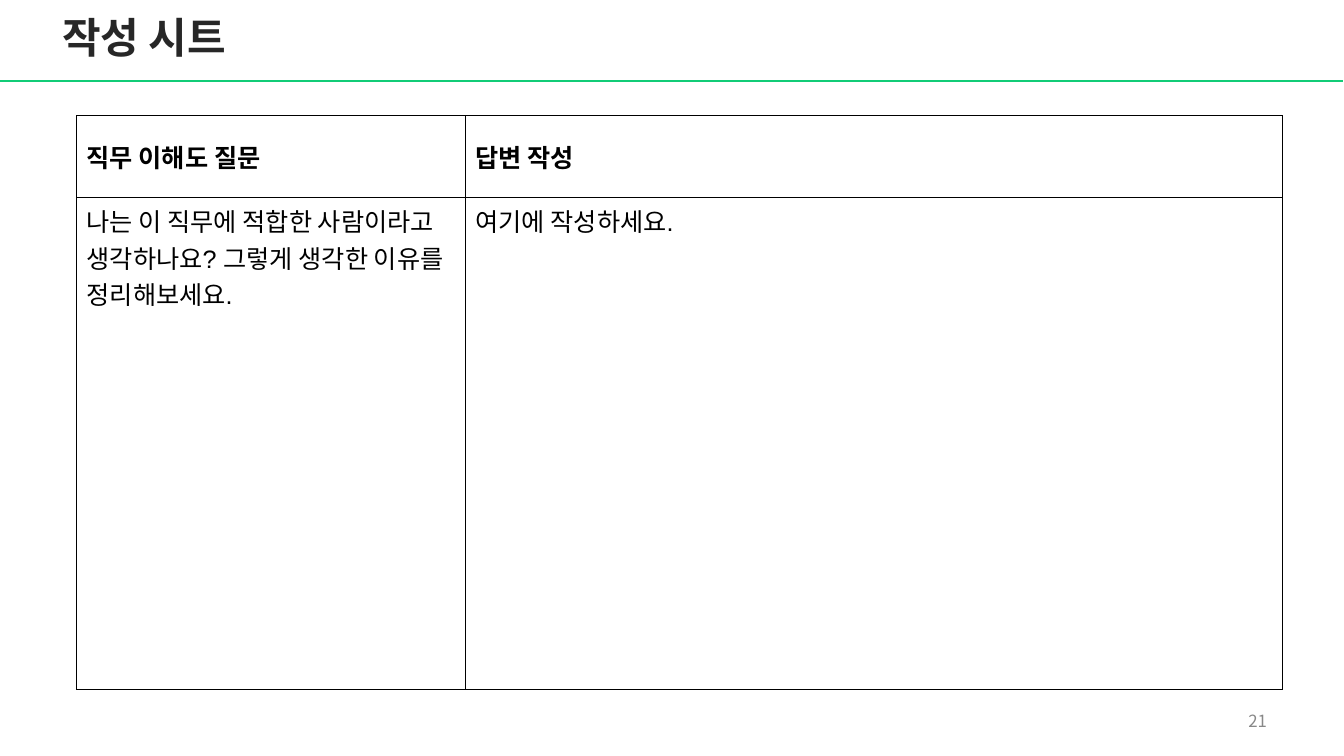
from dataclasses import dataclass

from lxml import etree
from pptx import Presentation
from pptx.dml.color import RGBColor
from pptx.enum.shapes import MSO_CONNECTOR
from pptx.enum.text import MSO_ANCHOR, PP_ALIGN
from pptx.oxml.ns import qn
from pptx.util import Cm, Pt

LINE = MSO_CONNECTOR.STRAIGHT
TOP = MSO_ANCHOR.TOP
MIDDLE = MSO_ANCHOR.MIDDLE
LEFT = PP_ALIGN.LEFT
RIGHT = PP_ALIGN.RIGHT


@dataclass(frozen=True)
class Theme:
    """Colours, fonts and type sizes of the slide."""
    ink: str = "000000"
    head: str = "272727"
    green: str = "11CC77"
    grey: str = "888888"
    font: str = "Arial"
    hangul: str = "Noto Sans CJK KR"
    title: int = 30
    body: int = 18
    note: int = 12
    rule: float = 1.5
    edge: float = 0.75


THEME = Theme()
ROWS = [
    ("직무 이해도 질문", "답변 작성"),
    ("나는 이 직무에 적합한 사람이라고 생각하나요? 그렇게 생각한 이유를 정리해보세요.",
     "여기에 작성하세요."),
]
WIDTHS = (9.8, 20.6)
HEIGHTS = (2.06, 12.4)


def style(para, size, color, bold=False, name=THEME.font):
    """Set the font of a paragraph."""
    font = para.font
    font.name = name
    font.size = Pt(size)
    font.bold = bold
    font.color.rgb = RGBColor.from_string(color)


def add_text(slide, text, box, anchor=TOP, align=LEFT, inset=(0, 0)):
    """Add a wrapped text box and return its paragraph."""
    frame = slide.shapes.add_textbox(*map(Cm, box)).text_frame
    frame.word_wrap = True
    frame.vertical_anchor = anchor
    frame.margin_left = frame.margin_right = Cm(inset[0])
    frame.margin_top = frame.margin_bottom = Cm(inset[1])
    para = frame.paragraphs[0]
    para.text = text
    para.alignment = align
    return para


def add_rule(slide, top, width):
    """Draw the green rule across the slide."""
    rule = slide.shapes.add_connector(LINE, 0, Cm(top), Cm(width), Cm(top))
    rule.line.color.rgb = RGBColor.from_string(THEME.green)
    rule.line.width = Pt(THEME.rule)
    etree.SubElement(rule._element.spPr, qn("a:effectLst"))


def add_edges(cell):
    """Give a cell a thin line on all four sides."""
    props = cell._tc.get_or_add_tcPr()
    for side, tag in enumerate(("a:lnL", "a:lnR", "a:lnT", "a:lnB")):
        edge = etree.Element(qn(tag), w=str(Pt(THEME.edge)))
        fill = etree.SubElement(edge, qn("a:solidFill"))
        etree.SubElement(fill, qn("a:srgbClr"), val=THEME.ink)
        props.insert(side, edge)


def add_sheet(slide, left, top):
    """Add the table of questions and answers."""
    size = Cm(sum(WIDTHS)), Cm(sum(HEIGHTS))
    frame = slide.shapes.add_table(
        len(HEIGHTS), len(WIDTHS), Cm(left), Cm(top), *size)
    table = frame.table
    table.horz_banding = False
    for col, width in zip(table.columns, WIDTHS):
        col.width = Cm(width)
    for index, (row, height) in enumerate(zip(table.rows, HEIGHTS)):
        row.height = Cm(height)
        first = index == 0
        for cell, text in zip(row.cells, ROWS[index]):
            cell.text = text
            cell.vertical_anchor = MIDDLE if first else TOP
            cell.fill.background()
            add_edges(cell)
            style(cell.text_frame.paragraphs[0], THEME.body, THEME.ink, first)


def main():
    """Build the slide and save it."""
    deck = Presentation()
    deck.slide_width, deck.slide_height = Cm(33.87), Cm(19.05)
    slide = deck.slides.add_slide(deck.slide_layouts[6])
    page = add_text(slide, "21", (24.28, 17.65, 7.9, 1.02),
                    MIDDLE, RIGHT, (0.25, 0.13))
    style(page, THEME.note, THEME.grey, name=THEME.hangul)
    add_rule(slide, 2.05, 33.85)
    title = add_text(slide, "작성 시트", (1.57, 0.43, 30.76, 1.27))
    title.line_spacing = 0.9
    style(title, THEME.title, THEME.head, True)
    add_sheet(slide, 1.93, 2.92)
    deck.save("out.pptx")


if __name__ == "__main__":
    main()
